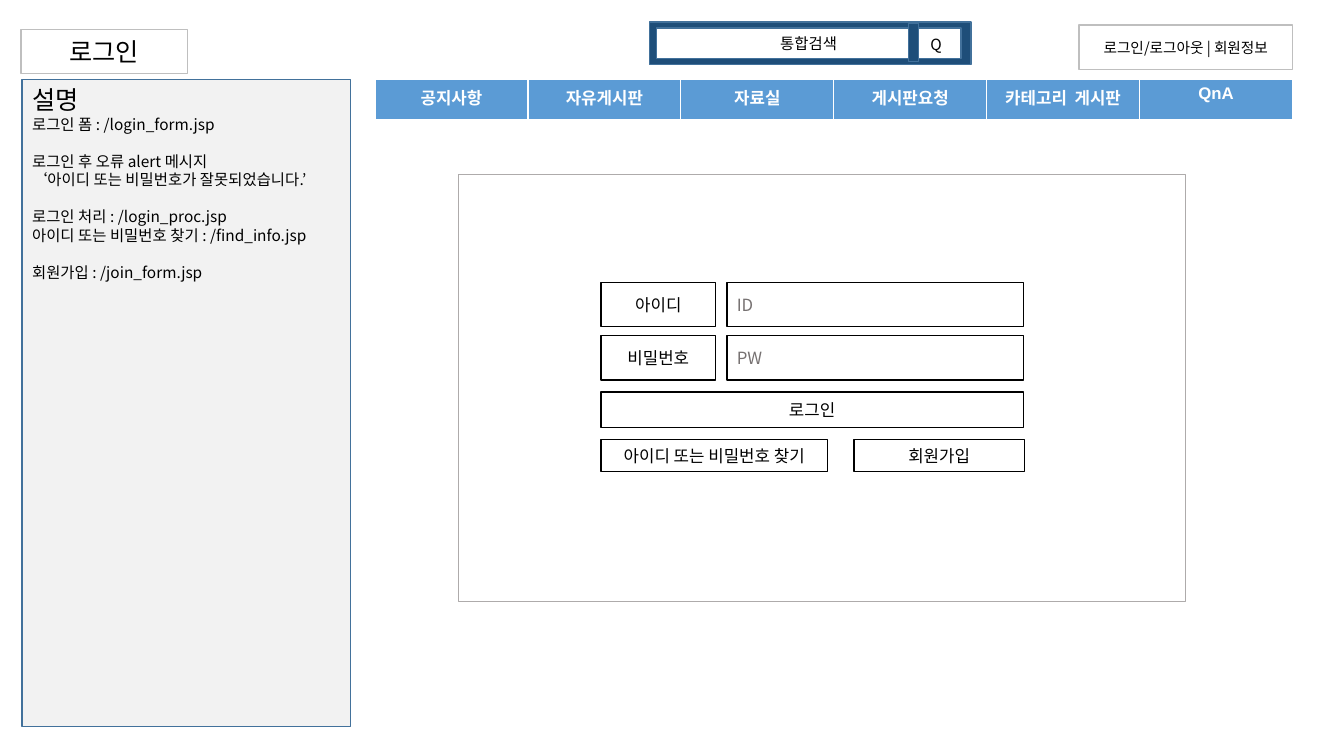
from dataclasses import dataclass

from lxml.etree import SubElement as Sub
from pptx import Presentation
from pptx.dml.color import RGBColor as Rgb
from pptx.enum.shapes import MSO_SHAPE as Kind
from pptx.enum.text import MSO_ANCHOR as Anchor, PP_ALIGN as Align
from pptx.oxml.ns import qn
from pptx.util import Pt


@dataclass(frozen=True)
class Theme:
    font: str = "Noto Sans CJK KR"
    menu: str = "Arial"
    black: str = "000000"
    white: str = "FFFFFF"
    hint: str = "767171"
    pale: str = "F2F2F2"
    gray: str = "BFBFBF"
    frame: str = "AEABAB"
    edge: str = "42719B"
    navy: str = "1E4E79"
    blue: str = "5B9BD5"
    title: float = 18
    label: float = 12
    note: float = 11
    small: float = 10.5
    lead: float = 1.2


T = Theme()
SCALE = 9144
MENU = ["공지사항", "자유게시판", "자료실", "게시판요청", "카테고리  게시판", "QnA"]
NOTES = [
    ["로그인 폼 : /login_form.jsp"],
    ["로그인 후 오류 alert 메시지", "‘아이디 또는 비밀번호가 잘못되었습니다.’"],
    ["로그인 처리 : /login_proc.jsp", "아이디 또는 비밀번호 찾기 : /find_info.jsp"],
    ["회원가입 : /join_form.jsp"],
]


def px(*sides):
    return [side * SCALE for side in sides]


def style(para, size, color=T.black, face=T.font, bold=False):
    font = para.font
    font.size = Pt(size)
    font.bold = bold
    font.color.rgb = Rgb.from_string(color)
    font.name = face
    Sub(para._p.pPr.find(qn("a:defRPr")), qn("a:ea"), typeface=T.font)


def write(para, text, size, align=Align.CENTER, **look):
    para.text = text
    para.alignment = align
    style(para, size, **look)


def box(shapes, area, fill=T.white, line=T.black):
    rect = shapes.add_shape(Kind.RECTANGLE, *px(*area))
    rect.shadow.inherit = False
    rect.fill.solid()
    rect.fill.fore_color.rgb = Rgb.from_string(fill)
    rect.line.color.rgb = Rgb.from_string(line)
    rect.line.width = Pt(1)
    return rect


def label(shapes, area, text, size=T.label, line=T.black, **look):
    frame = box(shapes, area, line=line).text_frame
    frame.word_wrap = True
    frame.vertical_anchor = Anchor.MIDDLE
    write(frame.paragraphs[0], text, size, **look)


def search(shapes):
    group = shapes.add_group_shape().shapes
    box(group, (644, 22, 319, 42), T.navy, T.edge)
    label(group, (651, 28, 302, 30), "통합검색", T.note, T.edge)
    box(group, (901, 23, 10, 38), T.navy, T.edge)
    frame = group.add_textbox(*px(913, 24, 43, 40)).text_frame
    frame.word_wrap = True
    frame.vertical_anchor = Anchor.MIDDLE
    write(frame.paragraphs[0], "Q", T.note, Align.LEFT)


def border(cell, side, width):
    line = Sub(cell._tc.get_or_add_tcPr(), qn("a:" + side), w=str(Pt(width)))
    fill = Sub(line, qn("a:solidFill"))
    Sub(fill, qn("a:srgbClr"), val=T.white)


def menu(shapes):
    table = shapes.add_table(1, len(MENU), *px(372, 79, 910, 41)).table
    table.first_row = table.horz_banding = False
    for cell, name in zip(table.rows[0].cells, MENU):
        for side, width in (("lnL", 1), ("lnR", 1), ("lnT", 1), ("lnB", 3)):
            border(cell, side, width)
        cell.fill.solid()
        cell.fill.fore_color.rgb = Rgb.from_string(T.blue)
        write(cell.text_frame.paragraphs[0], name, T.label,
              color=T.white, face=T.menu, bold=True)


def notes(shapes):
    frame = box(shapes, (22, 79, 326, 642), T.pale, T.edge).text_frame
    frame.word_wrap = True
    frame.vertical_anchor = Anchor.TOP
    head = frame.paragraphs[0]
    head.line_spacing = Pt(T.title * T.lead)
    write(head, "설명", T.title, Align.LEFT)
    step = Pt(T.note * T.lead)
    for block, lines in enumerate(NOTES):
        for row, text in enumerate(lines):
            para = frame.add_paragraph()
            para.line_spacing = step
            if block and not row:
                para.space_before = step
            write(para, text, T.note, Align.LEFT)


def form(shapes):
    box(shapes, (455, 173, 721, 424), line=T.frame)
    for top, name, hint in ((280, "아이디", "ID"), (333, "비밀번호", "PW")):
        label(shapes, (596, top, 114, 44), name)
        label(shapes, (721, top, 294, 44), hint, align=Align.LEFT, color=T.hint)
    label(shapes, (596, 389, 419, 35), "로그인")
    label(shapes, (596, 436, 225, 32), "아이디 또는 비밀번호 찾기")
    label(shapes, (847, 436, 169, 32), "회원가입")


def main():
    deck = Presentation()
    deck.slide_width, deck.slide_height = px(1333, 750)
    shapes = deck.slides.add_slide(deck.slide_layouts[6]).shapes
    label(shapes, (1070, 25, 212, 44), "로그인/로그아웃 | 회원정보", T.small, T.gray)
    search(shapes)
    menu(shapes)
    label(shapes, (21, 29, 165, 44), "로그인", T.title, T.gray)
    notes(shapes)
    form(shapes)
    deck.save("out.pptx")


if __name__ == "__main__":
    main()
